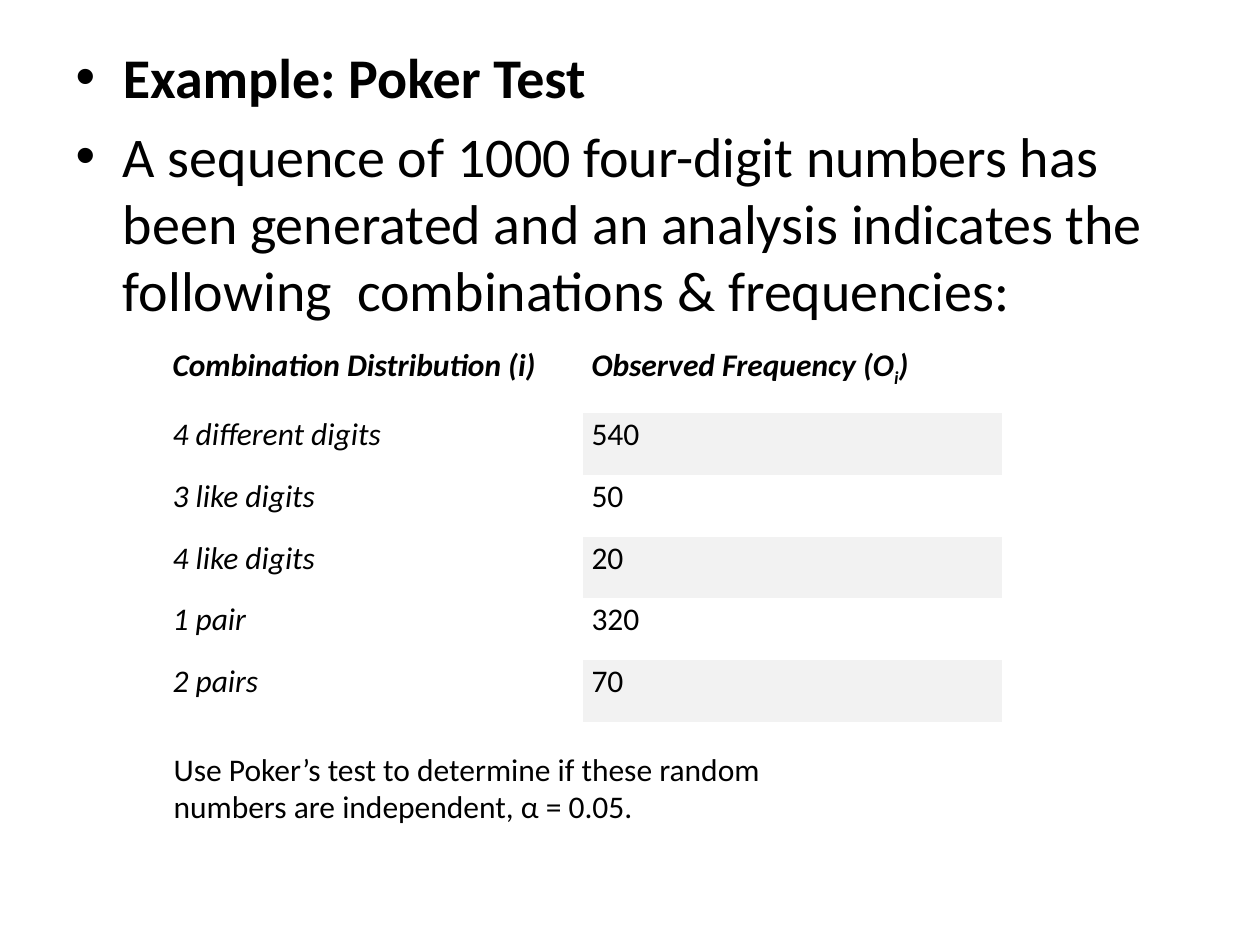
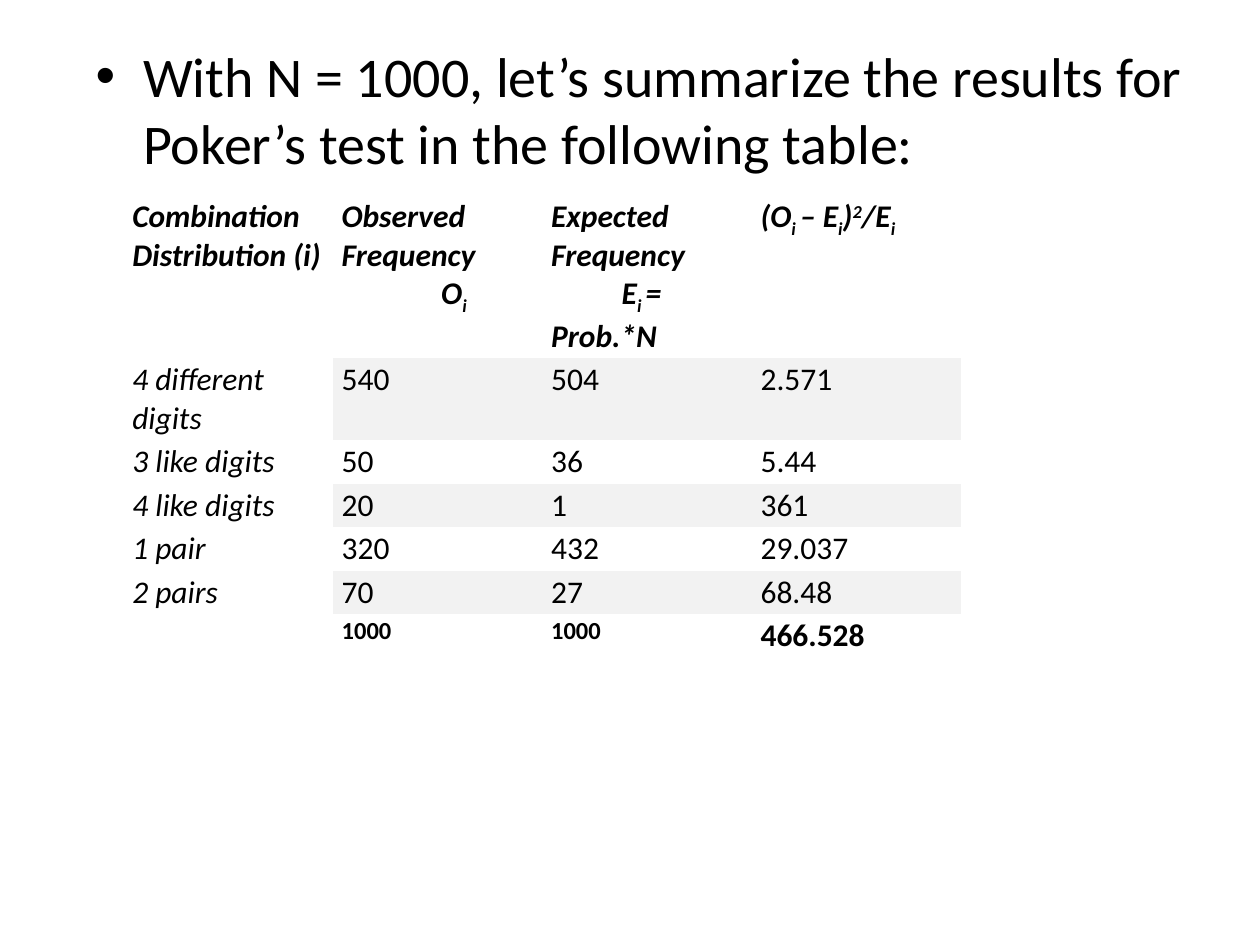
from pptx import Presentation
from pptx.dml.color import RGBColor
from pptx.oxml import ns
from pptx.util import Inches, Pt

COLORS = {"ink": "000000", "plain": "FFFFFF", "band": "F2F2F2"}
FONT = "Calibri"
NO_GRID_STYLE = "{2D5ABB26-0587-4C30-8999-92F81FD0307C}"
BASELINES = {"_": "-25000", "^": "30000"}
TABLE_WIDTH = 6.65

HANDS = ["4 different digits", "3 like digits", "4 like digits", "1 pair", "2 pairs"]
OBSERVED = ["540", "50", "20", "320", "70"]
EXPECTED = ["504", "36", "1", "432", "27"]
RATIOS = ["2.571", "5.44", "361", "29.037", "68.48"]
TOTALS = [("", 18), ("1000", 14), ("1000", 14), ("466.528", 18)]

FREQUENCY_HEADER = [
    [(0, ["Combination Distribution (i)"])],
    [(0, ["Observed Frequency (O", "_i", ")"])],
]
SUMMARY_HEADER = [
    [(0, ["Combination Distribution (i)"])],
    [(0, ["Observed Frequency"]), (0.79, ["O", "_i"])],
    [(0, ["Expected Frequency"]), (0.56, ["E", "_i ", "= Prob.*N"])],
    [(0, ["(O", "_i ", "– E", "_i", ")", "^2", "/E", "_i"])],
]

PAGES = [
    {
        "body": (0.5, 0.29, 9, 7.01),
        "bullets": [
            ("Example: Poker Test", True),
            ("A sequence of 1000 four-digit numbers has been generated and an "
             "analysis indicates the following  combinations & frequencies:", False),
        ],
        "header": FREQUENCY_HEADER,
        "header_at": (1.3, 2.73),
        "header_height": 0.34,
        "data": [HANDS, OBSERVED],
        "data_top": 3.28,
        "row_heights": [0.49] * 5,
        "totals": [],
        "note": "Use Poker’s test to determine if these random numbers are "
                "independent, α = 0.05.",
        "note_at": (1.28, 5.9, 5, 0.71),
    },
    {
        "body": (0.66, 0.28, 9, 6.41),
        "bullets": [
            ("With N = 1000, let’s summarize the results for Poker’s test in "
             "the following table:", False),
        ],
        "header": SUMMARY_HEADER,
        "header_at": (0.98, 1.55),
        "header_height": 1.29,
        "data": [HANDS, OBSERVED, EXPECTED, RATIOS],
        "data_top": None,
        "row_heights": [0.65] + [0.34] * 5,
        "totals": TOTALS,
        "note": None,
    },
]


def rgb(name):
    return RGBColor.from_string(COLORS[name])


def style(font, size, **formats):
    font.color.rgb = rgb("ink")
    for key, value in {"name": FONT, "size": Pt(size), **formats}.items():
        setattr(font, key, value)


def add_span(para, text, size, **formats):
    mark = text[0] if text[0] in BASELINES else ""
    span = para.add_run()
    span.text = text[len(mark):]
    style(span.font, size, **formats)
    if mark:
        span.font._element.set("baseline", BASELINES[mark])


def fill_header(cell, paragraphs):
    for index, (indent, pieces) in enumerate(paragraphs):
        frame = cell.text_frame
        para = frame.add_paragraph() if index else frame.paragraphs[0]
        if indent:
            para._p.get_or_add_pPr().set("indent", str(Inches(indent)))
        for piece in pieces:
            add_span(para, piece, 18, bold=True, italic=True)


def fill_text(cell, text, size=18, **formats):
    para = cell.text_frame.paragraphs[0]
    if text:
        add_span(para, text, size, **formats)
    else:
        style(para.font, size)


def add_grid(page, left, top, heights, columns):
    frame = page.shapes.add_table(len(heights), columns, Inches(left), Inches(top),
                                  Inches(TABLE_WIDTH), Inches(sum(heights)))
    table = frame.table
    table.first_row = table.horz_banding = False
    table._tbl.tblPr.find(ns.qn("a:tableStyleId")).text = NO_GRID_STYLE
    for row, height in zip(table.rows, heights):
        row.height = Inches(height)
    margins = {"margin_left": 0.07, "margin_right": 0.07,
               "margin_top": 0.02, "margin_bottom": 0.02}
    for cell in table.iter_cells():
        cell.fill.solid()
        cell.fill.fore_color.rgb = rgb("plain")
        for key, value in margins.items():
            setattr(cell, key, Inches(value))
    return table


def fill_data(table, data, first_row):
    for column, values in enumerate(data):
        for index, value in enumerate(values):
            cell = table.cell(first_row + index, column)
            fill_text(cell, value, italic=column == 0)
            if column and index % 2 == 0:
                cell.fill.fore_color.rgb = rgb("band")


def add_tables(page, content):
    left, top = content["header_at"]
    columns = len(content["header"])
    header_heights = [content["header_height"]]
    if content["data_top"]:
        header = add_grid(page, left, top, header_heights, columns)
        grid = add_grid(page, left, content["data_top"], content["row_heights"], columns)
        first_row = 0
    else:
        header = grid = add_grid(page, left, top,
                                 header_heights + content["row_heights"], columns)
        first_row = 1
    for column, paragraphs in enumerate(content["header"]):
        fill_header(header.cell(0, column), paragraphs)
    fill_data(grid, content["data"], first_row)
    for column, (text, size) in enumerate(content["totals"]):
        fill_text(grid.cell(len(grid.rows) - 1, column), text, size, bold=True)


def add_bullets(page, content):
    title = page.shapes.title._element
    title.getparent().remove(title)
    body = page.placeholders[1]
    body.left, body.top, body.width, body.height = map(Inches, content["body"])
    for index, (text, bold) in enumerate(content["bullets"]):
        frame = body.text_frame
        para = frame.add_paragraph() if index else frame.paragraphs[0]
        add_span(para, text, 32, bold=bold)


def add_note(page, content):
    box = page.shapes.add_textbox(*map(Inches, content["note_at"]))
    box.text_frame.word_wrap = True
    add_span(box.text_frame.paragraphs[0], content["note"], 18)


def main():
    deck = Presentation()
    deck.slide_width, deck.slide_height = Inches(10), Inches(7.5)
    for content in PAGES:
        page = deck.slides.add_slide(deck.slide_layouts[1])
        add_bullets(page, content)
        add_tables(page, content)
        if content["note"]:
            add_note(page, content)
    deck.save("out.pptx")


if __name__ == "__main__":
    main()
